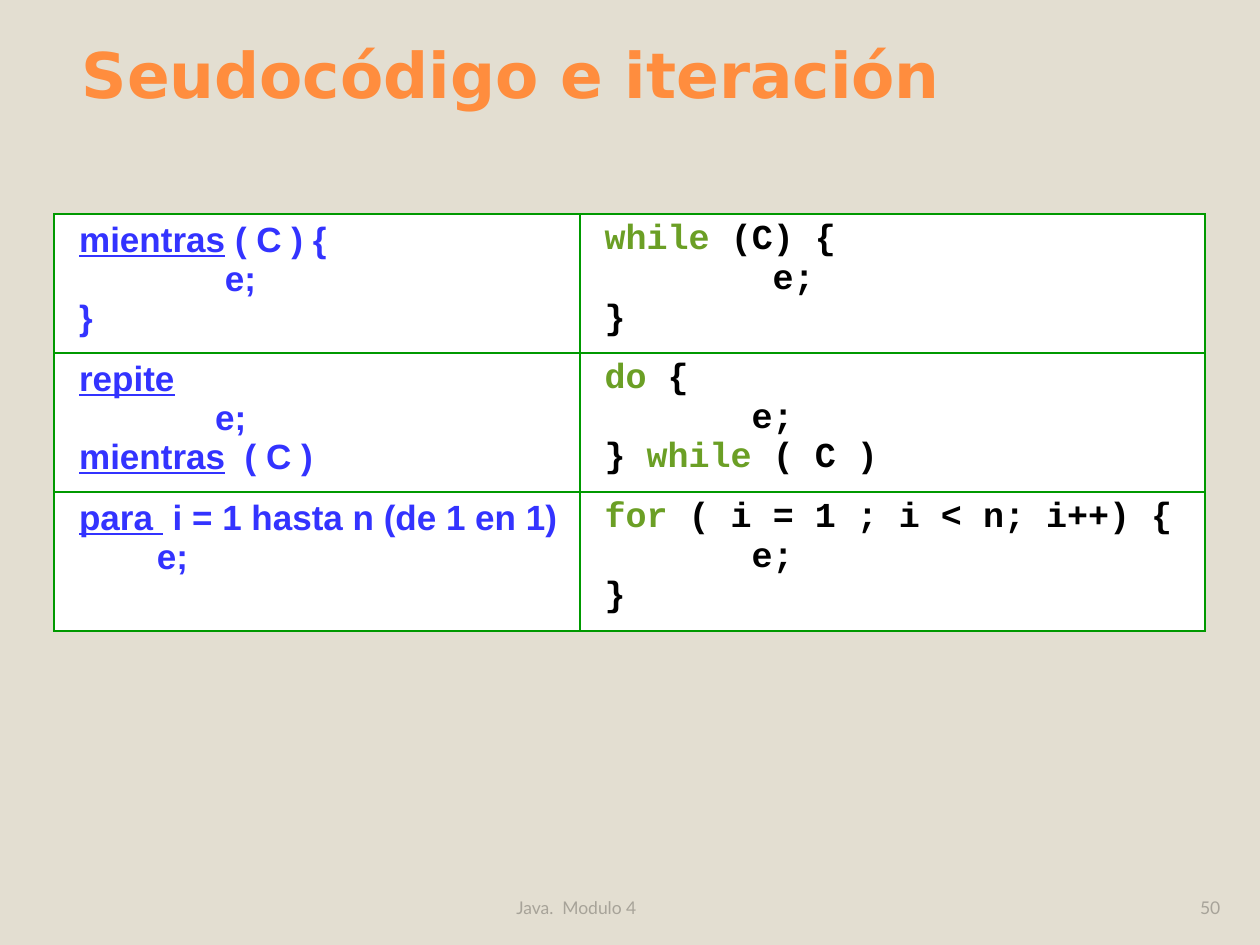
from lxml import etree
from pptx import Presentation
from pptx.dml.color import RGBColor
from pptx.enum.text import MSO_ANCHOR, PP_ALIGN
from pptx.oxml.ns import qn
from pptx.util import Pt

LEFT, RIGHT = PP_ALIGN.LEFT, PP_ALIGN.RIGHT
TOP, BOTTOM = MSO_ANCHOR.TOP, MSO_ANCHOR.BOTTOM

# Theme: colours and text formats
THEME = {
    "background": "E3DED1",
    "cell": "FFFFFF",
    "border": "009900",
    "title": {"name": "DejaVu Sans", "size": Pt(36), "bold": True, "color": "FF8D3E"},
    "footer": {"name": "Lato", "size": Pt(10), "color": "A7A399"},
    "pseudocode": {"name": "Arial", "size": Pt(20), "bold": True, "color": "3333FF"},
    "java": {"name": "Courier New", "size": Pt(20), "bold": True, "color": "000000"},
}
THEME["pseudocode keyword"] = {**THEME["pseudocode"], "underline": True}
THEME["java keyword"] = {**THEME["java"], "color": "6B9F25"}


def add_run(paragraph, text, style):
    run = paragraph.add_run()
    run.text = text
    for name, value in THEME[style].items():
        if name == "color":
            run.font.color.rgb = RGBColor.from_string(value)
        else:
            setattr(run.font, name, value)


def add_border(cell, side):
    line = etree.Element(qn(f"a:ln{side}"), w=str(Pt(1.5)))
    fill = etree.SubElement(line, qn("a:solidFill"))
    etree.SubElement(fill, qn("a:srgbClr"), val=THEME["border"])
    return line


presentation = Presentation()
presentation.slide_width, presentation.slide_height = Pt(720), Pt(540)
slide = presentation.slides.add_slide(presentation.slide_layouts[6])
slide.background.fill.solid()
slide.background.fill.fore_color.rgb = RGBColor.from_string(THEME["background"])

# Table: each line is a list of pieces, and keywords are wrapped in a tuple
languages = ["pseudocode", "java"]
loops = [
    [
        [[("mientras",), " ( C ) {"], ["               e;"], ["}"]],
        [[("while",), " (C) {"], ["        e;"], ["}"]],
    ],
    [
        [[("repite",)], ["              e;"], [("mientras",), "  ( C )"]],
        [[("do",), " {"], ["       e;"], ["} ", ("while",), " ( C )"]],
    ],
    [
        [[("para ",), " i = 1 hasta n (de 1 en 1)"], ["        e;"]],
        [[("for",), " ( i = 1 ; i < n; i++) {"], ["       e;"], ["}"]],
    ],
]
column_widths = [300.25, 357.5]
row_height = 79.4
table = slide.shapes.add_table(
    len(loops), len(languages), Pt(31), Pt(122.4),
    Pt(sum(column_widths)), Pt(row_height * len(loops)),
).table
table.first_row = table.horz_banding = False
for column, width in zip(table.columns, column_widths):
    column.width = Pt(width)

for row_index, loop in enumerate(loops):
    table.rows[row_index].height = Pt(row_height)
    for column_index, (language, lines) in enumerate(zip(languages, loop)):
        cell = table.cell(row_index, column_index)
        cell.fill.solid()
        cell.fill.fore_color.rgb = RGBColor.from_string(THEME["cell"])
        properties = cell._tc.get_or_add_tcPr()
        for position, side in enumerate("LRTB"):
            properties.insert(position, add_border(cell, side))
        for line_index, pieces in enumerate(lines):
            frame = cell.text_frame
            paragraph = frame.add_paragraph() if line_index else frame.paragraphs[0]
            paragraph._p.get_or_add_pPr().set("marL", str(Pt(7)))
            for piece in pieces:
                if isinstance(piece, tuple):
                    add_run(paragraph, piece[0], f"{language} keyword")
                else:
                    add_run(paragraph, piece, language)

# Footer, slide number and title
labels = [
    ("Java.  Modulo 4", "footer", (288, 492, 228, 36), LEFT, BOTTOM),
    ("50", "footer", (554.4, 492, 150, 36), RIGHT, BOTTOM),
    ("Seudocódigo e iteración", "title", (39.6, 16.5, 644.4, 53.3), LEFT, TOP),
]
for text, style, box, alignment, anchor in labels:
    frame = slide.shapes.add_textbox(*map(Pt, box)).text_frame
    frame.word_wrap = True
    frame.vertical_anchor = anchor
    paragraph = frame.paragraphs[0]
    paragraph.alignment = alignment
    add_run(paragraph, text, style)

presentation.save("out.pptx")
